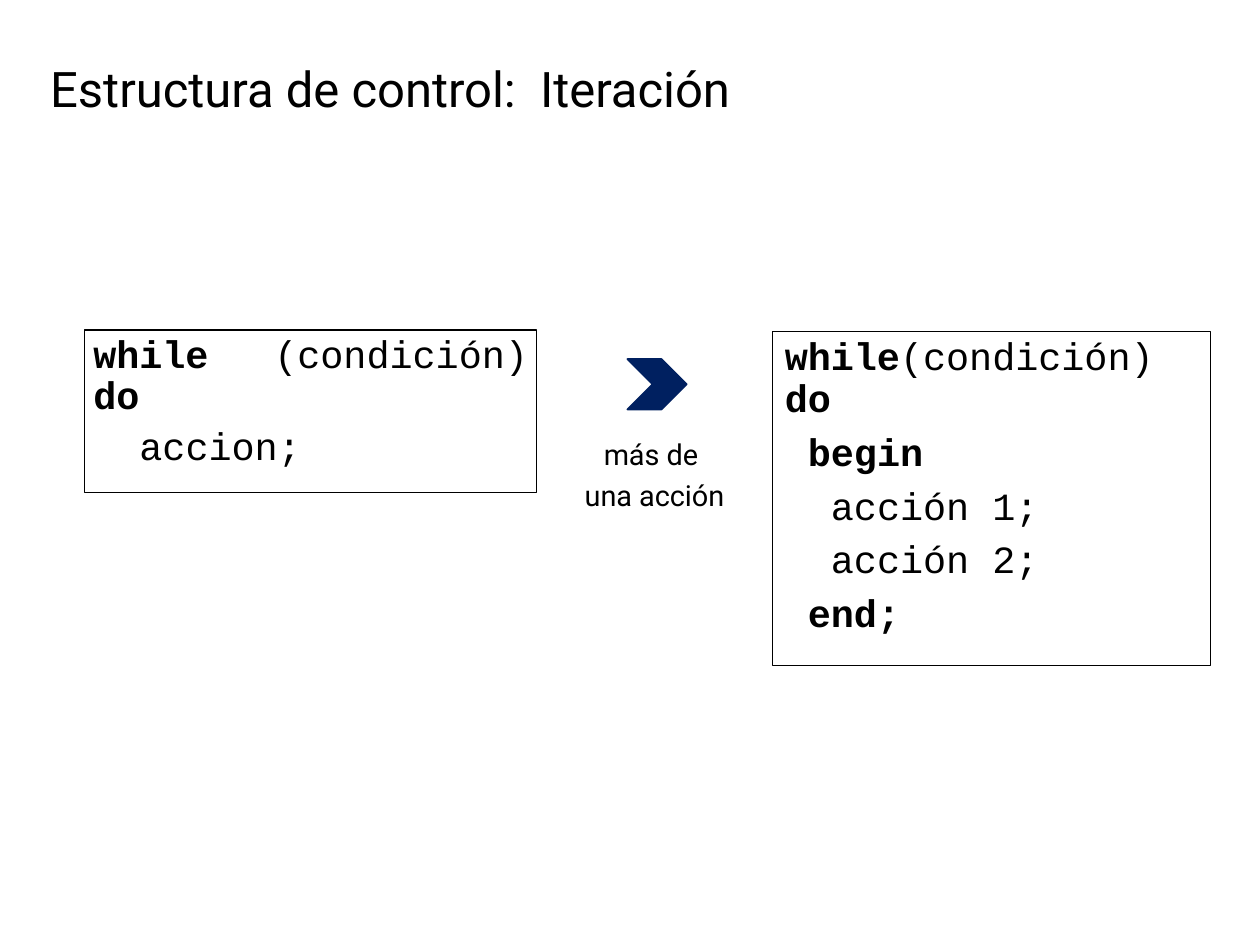
import pptx
import pptx.util
import pptx.dml.color
import pptx.enum.shapes
import pptx.enum.text

Inches, Pt = pptx.util.Inches, pptx.util.Pt
ALIGN = pptx.enum.text.PP_ALIGN
ANCHOR = pptx.enum.text.MSO_ANCHOR
SHAPE = pptx.enum.shapes.MSO_SHAPE

COLORS = {"ink": "000000", "chevron": "002060"}
CODE_SIZE = 22
CODE_CHAR = CODE_SIZE * 0.6  # width of one monospaced character, in points

# A line is (indent in characters, [(text, bold), ...])
TITLE = [(0, [("Estructura de control:  Iteración", False)])]
LABEL = [(0, [("más de ", False)]), (0, [("una acción", False)])]
SINGLE_ACTION = [
    (0, [("while", True), (" (condición) ", False), ("do", True)]),
    (2, [("accion;", False)]),
]
SEVERAL_ACTIONS = [
    (0, [("while", True), ("(condición) ", False), ("do", True)]),
    (1, [("begin", True)]),
    (2, [("acción 1;", False)]),
    (2, [("acción 2;", False)]),
    (1, [("end;", True)]),
]
NARROW, WIDE = (0.07, 0.04), (0.1, 0.05)


def rgb(name):
    return pptx.dml.color.RGBColor.from_string(COLORS[name])


def write_lines(box, lines, font, size, align, margins, gap=0, anchor=ANCHOR.TOP):
    frame = box.text_frame
    frame.word_wrap = True
    frame.vertical_anchor = anchor
    frame.margin_left = frame.margin_right = Inches(margins[0])
    frame.margin_top = frame.margin_bottom = Inches(margins[1])
    for number, (indent, spans) in enumerate(lines):
        para = frame.add_paragraph() if number else frame.paragraphs[0]
        para.alignment = align
        para.line_spacing = 0.9
        para.space_before = Pt(gap if number else 0)
        if indent:
            para._p.get_or_add_pPr().set("marL", str(Pt(indent * CODE_CHAR)))
        for text, bold in spans:
            span = para.add_run()
            span.text = text
            span.font.name = font
            span.font.size = Pt(size)
            span.font.bold = bold
            span.font.color.rgb = rgb("ink")


def add_outlined(page, kind, place, line, width, fill=None):
    shape = page.shapes.add_shape(kind, *map(Inches, place))
    shape.shadow.inherit = False
    if fill:
        shape.fill.solid()
        shape.fill.fore_color.rgb = rgb(fill)
    else:
        shape.fill.background()
    shape.line.color.rgb = rgb(line)
    shape.line.width = Pt(width)
    return shape


def add_text(page, place, *args, **options):
    write_lines(page.shapes.add_textbox(*map(Inches, place)), *args, **options)


def add_code(page, place, lines, margins, gap):
    box = add_outlined(page, SHAPE.RECTANGLE, place, "ink", 0.75)
    write_lines(box, lines, "Courier New", CODE_SIZE, ALIGN.JUSTIFY, margins, gap)


def main():
    deck = pptx.Presentation()
    deck.slide_width, deck.slide_height = Inches(10), Inches(7.5)
    page = deck.slides.add_slide(deck.slide_layouts[6])

    add_outlined(page, SHAPE.CHEVRON, (4.98, 2.85, 0.47, 0.4), "chevron", 1, "chevron")
    add_text(page, (4.13, 3.46, 2.13, 0.29), LABEL, "Roboto", 16.5,
             ALIGN.CENTER, NARROW, gap=5.2)
    add_text(page, (0.3, 0, 8.62, 1.45), TITLE, "Roboto", 28,
             ALIGN.LEFT, WIDE, anchor=ANCHOR.MIDDLE)
    add_code(page, (0.67, 2.62, 3.59, 1.29), SINGLE_ACTION, NARROW, 5.2)
    add_code(page, (6.13, 2.63, 3.48, 2.65), SEVERAL_ACTIONS, WIDE, 7)

    deck.save("out.pptx")


if __name__ == "__main__":
    main()
